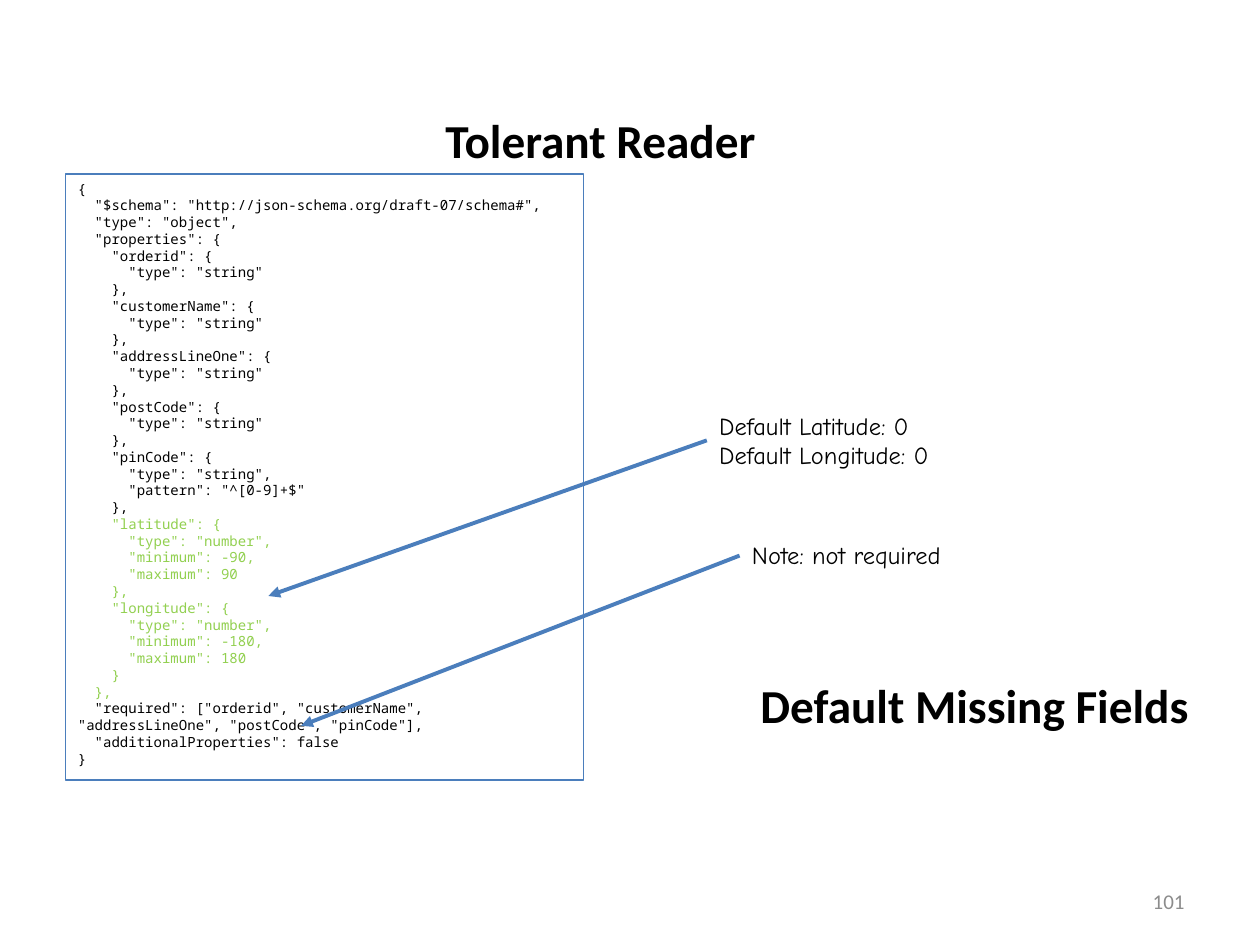
from collections import namedtuple
from dataclasses import dataclass

from lxml import etree
from pptx import Presentation
from pptx import util as u
from pptx.dml.color import RGBColor
from pptx.enum import shapes, text
from pptx.oxml import ns

Box = namedtuple("Box", "left top width height")


@dataclass(frozen=True)
class Theme:
    heading_font: str = "Calibri"
    note_font: str = "Comic Neue"
    code_font: str = "Noto Sans Mono"
    heading_size: float = 27
    note_size: float = 14
    number_size: float = 12
    code_size: float = 8
    ink: str = "000000"
    muted: str = "8C8C8C"
    accent: str = "4B7EBC"
    optional: str = "92D050"
    border_width: float = 0.75
    arrow_width: float = 2.25


THEME = Theme()

REQUIRED_FIELDS = """{
  "$schema": "http://json-schema.org/draft-07/schema#",
  "type": "object",
  "properties": {
    "orderid": {
      "type": "string"
    },
    "customerName": {
      "type": "string"
    },
    "addressLineOne": {
      "type": "string"
    },
    "postCode": {
      "type": "string"
    },
    "pinCode": {
      "type": "string",
      "pattern": "^[0-9]+$"
    },"""

OPTIONAL_FIELDS = """    "latitude": {
      "type": "number",
      "minimum": -90,
      "maximum": 90
    },
    "longitude": {
      "type": "number",
      "minimum": -180,
      "maximum": 180
    }
  },"""

SCHEMA_END = """  "required": ["orderid", "customerName", "addressLineOne", "postCode", "pinCode"],
  "additionalProperties": false
}"""


def share(prs, left, top, width=0, height=0):
    """Turn percentages of the slide's size into a box."""
    across, down = prs.slide_width / 100, prs.slide_height / 100
    return Box(*(round(n) for n in (left * across, top * down, width * across, height * down)))


def style(paragraph, font, size, color, bold=False, align=text.PP_ALIGN.LEFT):
    paragraph.alignment = align
    for run in paragraph.runs:
        run.font.name = font
        run.font.size = u.Pt(size)
        run.font.bold = bold
        run.font.color.rgb = RGBColor.from_string(color)


def fill_heading(shape, words):
    frame = shape.text_frame
    frame.text = words
    frame.word_wrap = True
    frame.auto_size = text.MSO_AUTO_SIZE.NONE
    frame.vertical_anchor = text.MSO_ANCHOR.TOP
    style(frame.paragraphs[0], THEME.heading_font, THEME.heading_size, THEME.ink,
          bold=True, align=text.PP_ALIGN.CENTER)


def add_title(slide, box, words):
    title = slide.shapes.title
    title.left, title.top, title.width, title.height = box
    fill_heading(title, words)


def add_conclusion(slide, box, words):
    fill_heading(slide.shapes.add_textbox(*box), words)


def add_schema(slide, box):
    panel = slide.shapes.add_shape(shapes.MSO_SHAPE.RECTANGLE, *box)
    panel.shadow.inherit = False
    panel.fill.background()
    panel.line.color.rgb = RGBColor.from_string(THEME.accent)
    panel.line.width = u.Pt(THEME.border_width)
    frame = panel.text_frame
    frame.word_wrap = True
    frame.vertical_anchor = text.MSO_ANCHOR.TOP

    parts = ((REQUIRED_FIELDS, THEME.ink), (OPTIONAL_FIELDS, THEME.optional),
             (SCHEMA_END, THEME.ink))
    frame.text = "\n".join(code for code, _ in parts)
    colors = [color for code, color in parts for _ in code.splitlines()]
    for line, color in zip(frame.paragraphs, colors):
        style(line, THEME.code_font, THEME.code_size, color)


def add_note(slide, box, words, target):
    """Place a note and an arrow from the middle of its left edge to the target."""
    frame = slide.shapes.add_textbox(*box).text_frame
    frame.word_wrap = False
    frame.text = words
    for line in frame.paragraphs:
        style(line, THEME.note_font, THEME.note_size, THEME.ink)

    arrow = slide.shapes.add_connector(
        shapes.MSO_CONNECTOR.STRAIGHT, box.left, box.top + box.height // 2,
        target.left, target.top)
    arrow.line.color.rgb = RGBColor.from_string(THEME.accent)
    arrow.line.width = u.Pt(THEME.arrow_width)
    etree.SubElement(arrow.line._get_or_add_ln(), ns.qn("a:tailEnd"), type="triangle")
    etree.SubElement(arrow._element.spPr, ns.qn("a:effectLst"))


def add_page_number(slide, box, number):
    frame = slide.shapes.add_textbox(*box).text_frame
    frame.word_wrap = True
    frame.vertical_anchor = text.MSO_ANCHOR.MIDDLE
    frame.text = number
    style(frame.paragraphs[0], THEME.heading_font, THEME.number_size, THEME.muted,
          align=text.PP_ALIGN.RIGHT)


def main():
    prs = Presentation()
    prs.slide_width, prs.slide_height = u.Inches(10), u.Inches(7.5)
    slide = prs.slides.add_slide(prs.slide_layouts.get_by_name("Title Only"))

    add_page_number(slide, share(prs, 71.7, 92.67, 23.3, 5.33), "101")
    add_title(slide, share(prs, 29, 11.07, 37.3, 7.47), "Tolerant Reader")
    add_conclusion(slide, share(prs, 58.7, 70.93, 37.3, 7.47), "Default Missing Fields")
    add_schema(slide, share(prs, 5.2, 18.4, 41.1, 64.13))
    add_note(slide, share(prs, 56.1, 42.8, 20.2, 7.6),
             "Default Latitude: 0\nDefault Longitude: 0", share(prs, 21.3, 63.07))
    add_note(slide, share(prs, 58.7, 56.53, 18.3, 4.53),
             "Note: not required", share(prs, 23.9, 76.8))
    prs.save("out.pptx")


if __name__ == "__main__":
    main()
